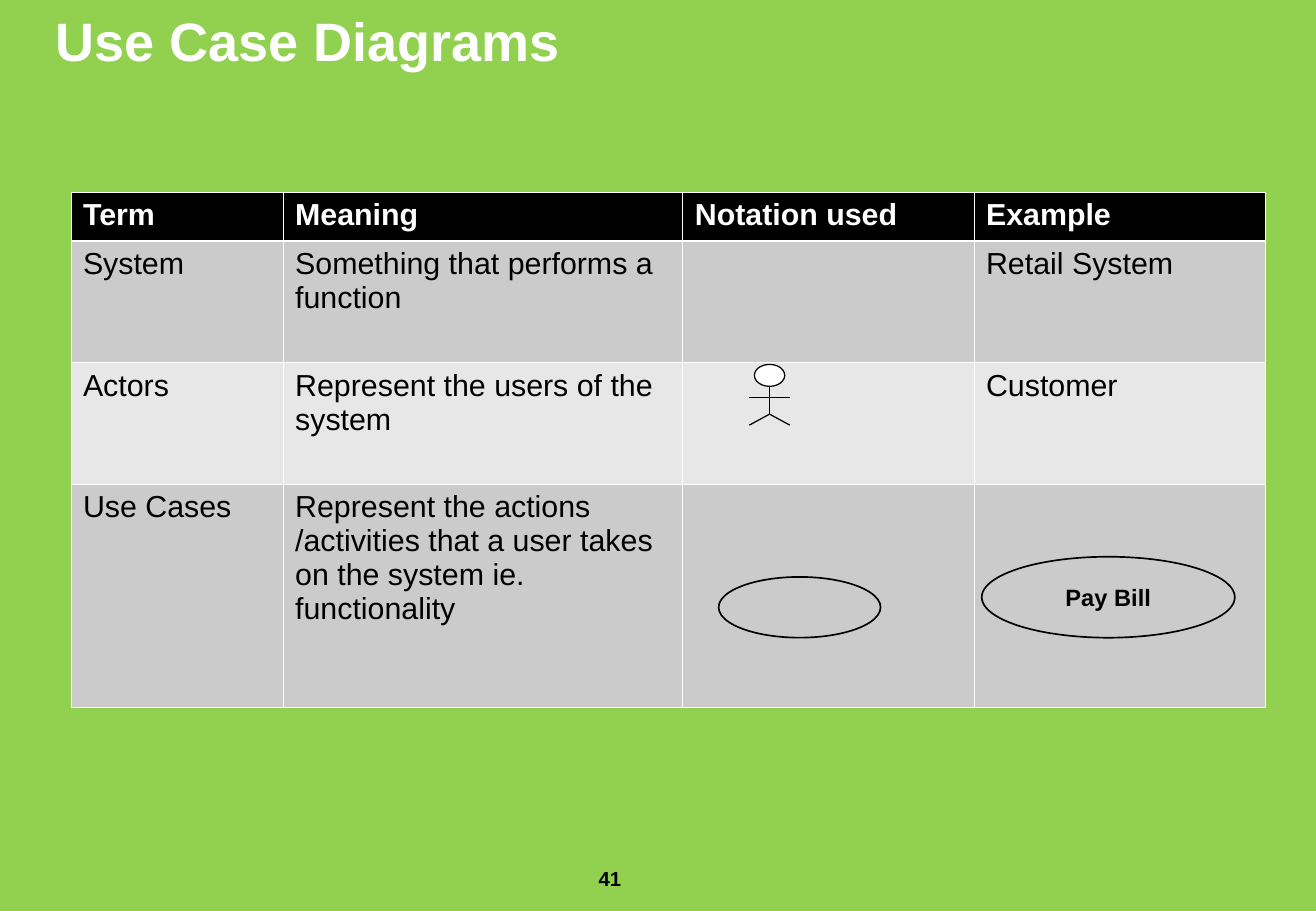
import pptx
import pptx.dml.color
import pptx.enum.shapes
import pptx.enum.text
import pptx.oxml
import pptx.oxml.ns
import pptx.util

Pt = pptx.util.Pt
RGBColor = pptx.dml.color.RGBColor
MSO_SHAPE = pptx.enum.shapes.MSO_SHAPE
PP_ALIGN = pptx.enum.text.PP_ALIGN

GREEN = RGBColor(0x92, 0xD0, 0x50)
WHITE = RGBColor(0xFF, 0xFF, 0xFF)
BLACK = RGBColor(0x00, 0x00, 0x00)
DARK_BAND = RGBColor(0xCB, 0xCB, 0xCB)
LIGHT_BAND = RGBColor(0xE7, 0xE7, 0xE7)

TITLE_FORMAT = {"name": "Arial", "size": Pt(32), "bold": True}
HEADER_FORMAT = {"name": "Arial", "size": Pt(18), "bold": True}
BODY_FORMAT = {"name": "Arial", "size": Pt(18), "bold": False}
USE_CASE_FORMAT = {"name": "Arial", "size": Pt(14), "bold": True}
NUMBER_FORMAT = {"name": "Arial", "size": Pt(12), "bold": True}

COLUMN_WIDTHS = [125.8, 237, 172.6, 172.6]
ROW_HEIGHTS = [28.8, 72.1, 72.1, 132.5]
TERMS = [
    ["Term", "Meaning", "Notation used", "Example"],
    ["System", "Something that performs a function", "", "Retail System"],
    ["Actors", "Represent the users of the system", "", "Customer"],
    ["Use Cases", "Represent the actions /activities that a user takes "
     "on the system ie. functionality", "", ""],
]


def write_text(frame, text, font_format, color, align=PP_ALIGN.LEFT):
    frame.text = text
    frame.word_wrap = True
    paragraph = frame.paragraphs[0]
    paragraph.alignment = align
    font = paragraph.runs[0].font if text else paragraph.font
    for attribute, value in font_format.items():
        setattr(font, attribute, value)
    font.color.rgb = color


def add_label(shapes, box, text, font_format, align=PP_ALIGN.LEFT):
    label = shapes.add_textbox(*map(Pt, box))
    write_text(label.text_frame, text, font_format, BLACK, align)


def add_ellipse(shapes, box, line_width, fill=None):
    ellipse = shapes.add_shape(MSO_SHAPE.OVAL, *map(Pt, box))
    ellipse.shadow.inherit = False
    if fill is None:
        ellipse.fill.background()
    else:
        ellipse.fill.solid()
        ellipse.fill.fore_color.rgb = fill
    ellipse.line.color.rgb = BLACK
    ellipse.line.width = Pt(line_width)


def add_limb(shapes, start, end):
    limb = shapes.add_connector(
        pptx.enum.shapes.MSO_CONNECTOR.STRAIGHT, *map(Pt, start + end))
    limb.line.color.rgb = BLACK
    limb.line.width = Pt(0.75)
    limb._element.spPr.append(pptx.oxml.parse_xml(
        f"<a:effectLst {pptx.oxml.ns.nsdecls('a')}/>"))


def set_borders(cell, widths):
    properties = cell._tc.get_or_add_tcPr()
    for side, width in widths.items():
        properties.append(pptx.oxml.parse_xml(
            f'<a:ln{side} {pptx.oxml.ns.nsdecls("a")} w="{Pt(width)}">'
            f'<a:solidFill><a:srgbClr val="{WHITE}"/></a:solidFill>'
            f'</a:ln{side}>'))


def add_title(slide, box):
    title = slide.shapes.title
    title.left, title.top, title.width, title.height = map(Pt, box)
    frame = title.text_frame
    write_text(frame, "Use Case Diagrams", TITLE_FORMAT, WHITE)
    frame.vertical_anchor = pptx.enum.text.MSO_ANCHOR.TOP
    frame.auto_size = pptx.enum.text.MSO_AUTO_SIZE.NONE


def add_terms_table(slide, left, top):
    box = (left, top, sum(COLUMN_WIDTHS), sum(ROW_HEIGHTS))
    terms = slide.shapes.add_table(
        len(ROW_HEIGHTS), len(COLUMN_WIDTHS), *map(Pt, box)).table
    for column, width in zip(terms.columns, COLUMN_WIDTHS):
        column.width = Pt(width)
    for row, height in zip(terms.rows, ROW_HEIGHTS):
        row.height = Pt(height)

    for row_number, entries in enumerate(TERMS):
        is_header = row_number == 0
        band = DARK_BAND if row_number % 2 else LIGHT_BAND
        borders = {"L": 0.45, "R": 0.45,
                   "T": 1.5 if row_number == 1 else 0.45,
                   "B": 1.5 if is_header else 0.45}
        for column_number, entry in enumerate(entries):
            cell = terms.cell(row_number, column_number)
            write_text(cell.text_frame, entry,
                       HEADER_FORMAT if is_header else BODY_FORMAT,
                       WHITE if is_header else BLACK)
            set_borders(cell, borders)
            cell.fill.solid()
            cell.fill.fore_color.rgb = BLACK if is_header else band


def add_actor(slide, box):
    left, top, width, height = box
    right, bottom, center = left + width, top + height, left + width / 2
    head_width, head_height = 18, 13
    arms, hips = top + 19.5, top + 29.5
    actor = slide.shapes.add_group_shape().shapes
    add_ellipse(actor, (center - head_width / 2, top, head_width, head_height),
                0.75, WHITE)
    for start, end in [
        ((center, top + head_height), (center, hips)),
        ((left, arms), (right, arms)),
        ((center, hips), (left, bottom)),
        ((center, hips), (right, bottom)),
    ]:
        add_limb(actor, start, end)


def add_use_case_example(slide, box):
    left, top, width, height = box
    example = slide.shapes.add_group_shape().shapes
    add_ellipse(example, box, 1)
    add_label(example, (left + 6, top + 12, width - 12, height / 2),
              "Pay Bill", USE_CASE_FORMAT, PP_ALIGN.CENTER)


def add_use_case_slide(deck):
    slide = deck.slides.add_slide(deck.slide_layouts[5])
    slide.background.fill.solid()
    slide.background.fill.fore_color.rgb = GREEN

    # Title and slide number
    add_title(slide, (26, 0.7, 636, 76))
    add_label(slide.shapes, (347.8, 510, 66, 37.4), "41", NUMBER_FORMAT)

    # Terms, with the notation drawn over the cells
    add_terms_table(slide, 42, 114)
    add_actor(slide, (444.2, 216, 24, 36))
    add_use_case_example(slide, (582, 330, 150, 48))
    add_ellipse(slide.shapes, (426, 342, 96, 36), 1)


def main():
    deck = pptx.Presentation()
    deck.slide_width, deck.slide_height = Pt(780.13), Pt(540)
    add_use_case_slide(deck)
    deck.save("out.pptx")


if __name__ == "__main__":
    main()
